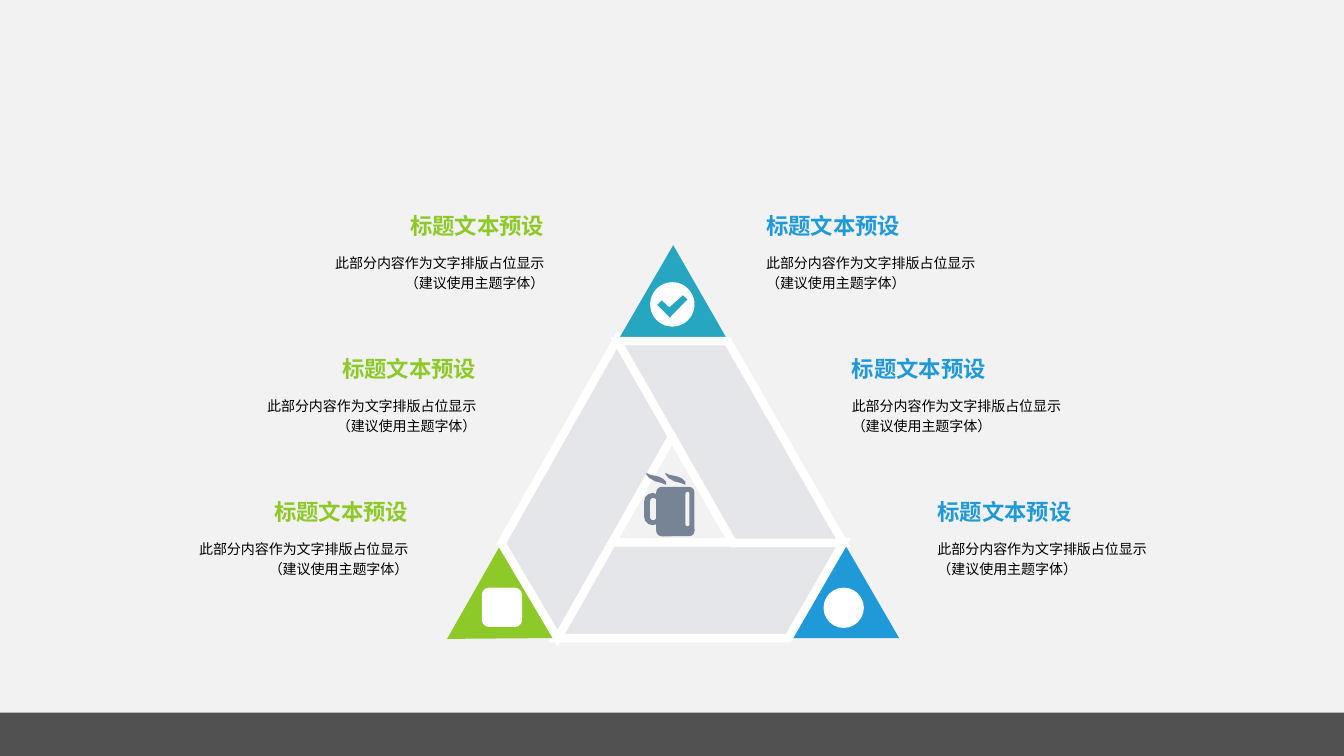
from pptx import Presentation
from pptx.dml.color import RGBColor
from pptx.enum.shapes import MSO_SHAPE
from pptx.enum.text import MSO_ANCHOR, PP_ALIGN
from pptx.oxml.ns import qn
from pptx.util import Inches, Pt
from lxml.etree import SubElement


class Theme:
    font = "Calibri"
    heading_size, body_size, outline = 16, 10, 6
    back, white, text, footer = "F2F2F2", "FFFFFF", "000000", "0D0D0D"
    green, blue, teal = "8DC928", "2099D8", "27A6C2"
    panel, mug = "E4E6EA", "778495"


# Content: every length is in grid cells of a tenth of an inch
CELL = Inches(0.1)
COLS, ROWS = 133.33, 75

HEADING = "标题文本预设"
BODY = ["此部分内容作为文字排版占位显示", "（建议使用主题字体）"]
ENTRIES = [(HEADING, BODY)] * 3
ROW_TOP, ROW_STEP = 21, 14.2
HEADING_HEIGHT, BODY_HEIGHT = 2.7, 6.4
# left of first entry, shift per row, width, alignment, heading colour
SIDES = [
    (28.5, -6.75, 26.3, PP_ALIGN.RIGHT, Theme.green),
    (75.2, 8.5, 26.9, PP_ALIGN.LEFT, Theme.blue),
]

# Each arm: rotation, corner position and colour, panel position, width and slant
SIDE_HEIGHT, CORNER_WIDTH = 9.5, 11
ARMS = [
    (0, (78.2, 53.8), Theme.blue, (55.1, 53.8), 28.6, 0.577),
    (119.6, (45.7, 56.2), Theme.green, (43.9, 43.7), 28.8, 0.573),
    (240.2, (59.9, 26.7), Theme.teal, (58.2, 39.1), 28.5, 0.573),
]

# Icon parts: preset, box, colour, corner rounding
ICON_PARTS = [
    (MSO_SHAPE.OVAL, (81.7, 58.3, 4, 4), Theme.white, None),
    (MSO_SHAPE.ROUNDED_RECTANGLE, (47.8, 58.3, 4, 3.9), Theme.white, 0.18),
    (MSO_SHAPE.OVAL, (64.5, 28, 4.4, 4.4), Theme.white, None),
    (MSO_SHAPE.ROUNDED_RECTANGLE, (63.9, 48.9, 1.7, 3.2), Theme.mug, 0.5),
    (MSO_SHAPE.ROUNDED_RECTANGLE, (64.5, 49.4, 0.6, 2.2), Theme.back, 0.5),
    (MSO_SHAPE.ROUNDED_RECTANGLE, (65.1, 48.3, 3.8, 4.9), Theme.mug, 0.14),
    (MSO_SHAPE.ROUNDED_RECTANGLE, (68, 48.8, 0.4, 3.4), Theme.back, 0.5),
]
CHECK = [(65.2, 30.25), (65.65, 29.8), (66.4, 30.5), (67.75, 29.3),
         (68.2, 29.7), (66.45, 31.5)]
STEAM = [(64.1, 46.9), (64.5, 47.1), (65, 47.2), (65.4, 47.3), (65.8, 47.5),
         (66.1, 47.8), (66.1, 48.1), (65.6, 47.9), (65, 47.75), (64.4, 47.4),
         (64.15, 47.1)]
STEAM_GAP = 1.9


def rgb(colour):
    return RGBColor.from_string(colour)


def cells(*values):
    return [int(round(v * CELL)) for v in values]


def paint(sp, colour):
    sp.shadow.inherit = False
    sp.fill.solid()
    sp.fill.fore_color.rgb = rgb(colour)
    sp.line.fill.background()
    return sp


def add_preset(s, preset, box, colour, adjustment=None, rotation=0):
    sp = paint(s.shapes.add_shape(preset, *cells(*box)), colour)
    if adjustment is not None:
        sp.adjustments[0] = adjustment
    sp.rotation = rotation
    return sp


def add_outline(s, points, colour):
    start, *rest = [cells(*point) for point in points]
    builder = s.shapes.build_freeform(*start)
    builder.add_line_segments(rest)
    return paint(builder.convert_to_shape(), colour)


def add_text(s, box, lines, align, size, colour, bold=None, wrap=True):
    tf = s.shapes.add_textbox(*cells(*box)).text_frame
    tf.word_wrap = wrap
    tf.margin_left = tf.margin_right = Inches(0.08)
    tf.margin_top = tf.margin_bottom = 0
    p = tf.paragraphs[0]
    p.alignment = align
    for i, line in enumerate(lines):
        if i:
            p.add_line_break()
        r = p.add_run()
        r.text = line
        r.font.name, r.font.size, r.font.bold = Theme.font, Pt(size), bold
        r.font.color.rgb = rgb(colour)
    return tf


def add_entry(s, left, top, width, align, colour, heading, body):
    add_text(s, (left, top, width, HEADING_HEIGHT), [heading], align,
             Theme.heading_size, colour, bold=True, wrap=False)
    tf = add_text(s, (left, top + HEADING_HEIGHT, width, BODY_HEIGHT), body, align,
                  Theme.body_size, Theme.text)
    tf.vertical_anchor = MSO_ANCHOR.MIDDLE
    tf.paragraphs[0].line_spacing = 1.2


def add_arm(s, rotation, corner, colour, panel, width, slant):
    add_preset(s, MSO_SHAPE.ISOSCELES_TRIANGLE,
               (*corner, CORNER_WIDTH, SIDE_HEIGHT), colour, rotation=rotation)
    sp = add_preset(s, MSO_SHAPE.PARALLELOGRAM, (*panel, width, SIDE_HEIGHT),
                    Theme.panel, slant, rotation)
    sp.line.color.rgb = rgb(Theme.white)
    sp.line.width = Pt(Theme.outline)
    SubElement(sp.line._get_or_add_ln(), qn("a:miter"), lim="800000")


def main():
    prs = Presentation()
    prs.slide_width, prs.slide_height = cells(COLS, ROWS)
    s = prs.slides.add_slide(prs.slide_layouts[6])
    s.background.fill.solid()
    s.background.fill.fore_color.rgb = rgb(Theme.back)

    # Translucent footer band
    footer = add_preset(s, MSO_SHAPE.RECTANGLE, (0, 70.7, COLS, 4.3), Theme.footer)
    SubElement(footer.fill._xPr.find(".//" + qn("a:srgbClr")), qn("a:alpha"), val="70000")

    # Triangle of three rotated arms
    for arm in ARMS:
        add_arm(s, *arm)

    # Icons
    for part in ICON_PARTS:
        add_preset(s, *part)
    add_outline(s, CHECK, Theme.teal)
    for i in range(2):
        add_outline(s, [(x + i * STEAM_GAP, y) for x, y in STEAM], Theme.mug)

    # Text entries on both sides
    for left, shift, width, align, colour in SIDES:
        for i, (heading, body) in enumerate(ENTRIES):
            add_entry(s, left + i * shift, ROW_TOP + i * ROW_STEP, width, align,
                      colour, heading, body)

    prs.save("out.pptx")


if __name__ == "__main__":
    main()
